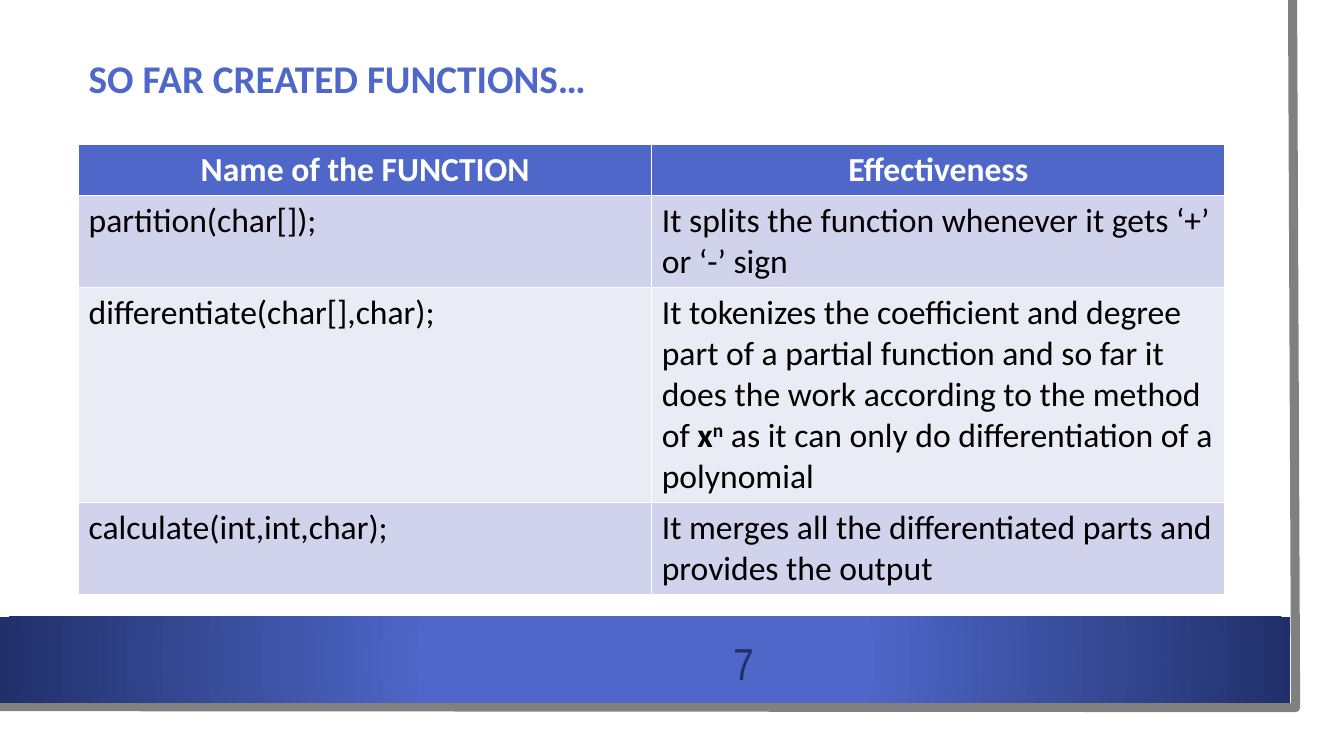
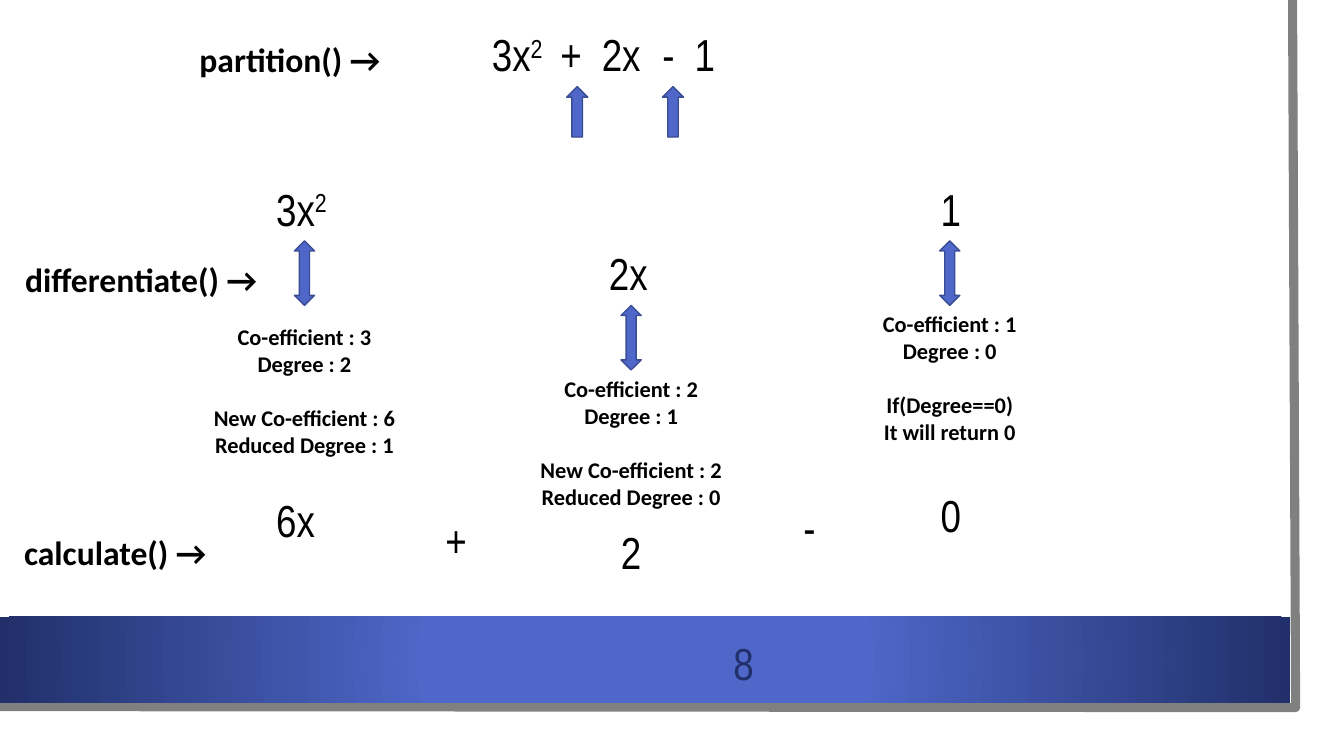
"""Build two slides on the functions of a polynomial differentiation program."""
from lxml import etree
from pptx import Presentation
from pptx import util as u
from pptx.dml.color import RGBColor
from pptx.enum import shapes, text
from pptx.oxml.ns import qn

COLORS = {"blue": "4E67C8", "navy": "21306A", "edge": "3A4C94", "gray": "808080",
          "white": "FFFFFF", "black": "000000", "band": "D0D3EB", "pale": "E9EBF5"}
LABEL, MATH = "Calibri", "Arial Narrow"
CENTER = text.PP_ALIGN.CENTER
SHAPE = shapes.MSO_SHAPE

ROWS = [
    ("partition(char[]);",
     [("It splits the function whenever it gets ‘+’ or ‘-’ sign", "")]),
    ("differentiate(char[],char);",
     [("It tokenizes the coefficient and degree part of a partial function and so far "
       "it does the work according to the method of ", ""), ("x", "b"), ("n", "b^"),
      (" as it can only do differentiation of a polynomial", "")]),
    ("calculate(int,int,char);",
     [("It merges all the differentiated parts and provides the output", "")]),
]
ROW_HEIGHTS = [0.5, 0.9, 2.1, 0.9]

TERMS = [
    dict(left=1.4, top=1.75, term=[("3x", ""), ("2", "^")], term_x=1.24,
         facts=["Co-efficient : 3", "Degree : 2", "New Co-efficient : 6", "Reduced Degree : 1"],
         facts_y=1.41, result="6x", result_x=1.24, result_y=3.09),
    dict(left=4.64, top=2.39, term=[("2x", "")], term_x=1.3,
         facts=["Co-efficient : 2", "Degree : 1", "New Co-efficient : 2", "Reduced Degree : 0"],
         facts_y=1.28, result="2", result_x=1.42, result_y=2.77),
    dict(left=7.8, top=1.75, term=[("1", "")], term_x=1.43,
         facts=["Co-efficient : 1", "Degree : 0", "If(Degree==0)", "It will return 0"],
         facts_y=1.28, result="0", result_x=1.43, result_y=3.04),
]
TERM_WIDTH = 3.24


def rgb(name):
    """Return the named colour."""
    return RGBColor.from_string(COLORS[name])


def box(*lengths):
    """Turn lengths in inches into slide units."""
    return [u.Inches(v) for v in lengths]


def style(r, size, font, color="black", bold=False):
    """Format one run."""
    r.font.size = u.Pt(size)
    r.font.name = font
    r.font.bold = bold
    r.font.color.rgb = rgb(color)


def fill_runs(p, runs, size, font, color="black"):
    """Add runs of (text, marks), where b is bold and ^ is superscript."""
    for words, marks in runs:
        r = p.add_run()
        r.text = words
        style(r, size, font, color, "b" in marks)
        if "^" in marks:
            r._r.get_or_add_rPr().set("baseline", "30000")


def add_text(s, at, runs, size, font, color="black", align=None):
    """Add a one-paragraph text box and return it."""
    sp = s.shapes.add_textbox(*box(*at))
    sp.text_frame.word_wrap = True
    p = sp.text_frame.paragraphs[0]
    p.alignment = align
    fill_runs(p, runs, size, font, color)
    return sp


def add_math(s, left, top, runs, width=0.91):
    """Add a large term of the polynomial."""
    return add_text(s, (left, top, width, 0.64), runs, 32, MATH)


def add_solid(s, kind, at, fill, line=None):
    """Add a preset shape without shadow."""
    sp = s.shapes.add_shape(kind, *box(*at))
    sp.shadow.inherit = False
    sp.fill.solid()
    sp.fill.fore_color.rgb = rgb(fill)
    if line:
        sp.line.color.rgb = rgb(line)
        sp.line.width = u.Pt(1)
    else:
        sp.line.fill.background()
    return sp


def add_arrow(s, kind, left, top, width, height):
    """Add a blue block arrow."""
    return add_solid(s, kind, (left, top, width, height), "blue", "edge")


def radial_fill(sp, stops):
    """Give a shape a gradient that spreads from its centre."""
    sp.fill.gradient()
    for stop, (position, name) in zip(sp.fill.gradient_stops, stops):
        stop.position = position
        stop.color.rgb = rgb(name)
    grad = sp._element.spPr.find(qn("a:gradFill"))
    grad.remove(grad.find(qn("a:lin")))
    path = etree.SubElement(grad, qn("a:path"), path="circle")
    etree.SubElement(path, qn("a:fillToRect"), l="50000", t="50000", r="50000", b="50000")


def dress_master(prs, s):
    """Draw the paper, its gray edge and the footer band, then move them to the master."""
    paper = add_solid(s, SHAPE.RECTANGLE, (0, 0, 13.1, 7.27), "white")
    builder = s.shapes.build_freeform(*box(12.82, 0))
    builder.add_line_segments([box(12.85, 7.02), box(-0.03, 7.01)], close=False)
    edge = builder.convert_to_shape()
    edge.shadow.inherit = False
    edge.fill.background()
    edge.line.color.rgb = rgb("gray")
    edge.line.width = u.Pt(6.5)
    band = add_solid(s, SHAPE.RECTANGLE, (0, 6.12, 12.8, 0.85), "blue")
    radial_fill(band, [(0.34, "blue"), (1, "navy")])
    tree = prs.slide_master.shapes.element
    for i, sp in enumerate((paper, edge, band)):
        tree.insert(2 + i, sp._element)


def add_number(s, number):
    """Add the page number on the footer band."""
    sp = add_text(s, (6.88, 6.3, 0.99, 0.55), [(str(number), "")], 32, MATH, "navy", CENTER)
    sp.text_frame.vertical_anchor = text.MSO_ANCHOR.MIDDLE


def set_title(s, words, left, top, width, height):
    """Place and format the title placeholder."""
    sp = s.shapes.title
    sp.left, sp.top, sp.width, sp.height = box(left, top, width, height)
    tf = sp.text_frame
    tf.text = words
    tf.vertical_anchor = text.MSO_ANCHOR.MIDDLE
    p = tf.paragraphs[0]
    p.alignment = text.PP_ALIGN.LEFT
    p.line_spacing = 0.9
    style(p.runs[0], 28, LABEL, "blue", True)


def function_table(s, left, top, width):
    """Add the table of functions and what they do."""
    at = box(left, top, width, sum(ROW_HEIGHTS))
    table = s.shapes.add_table(len(ROW_HEIGHTS), 2, *at).table
    for row, height in zip(table.rows, ROW_HEIGHTS):
        row.height = u.Inches(height)
    heads = [[("Name of the FUNCTION", "b")], [("Effectiveness", "b")]]
    body = [[[(name, "")], effect] for name, effect in ROWS]
    for i, cells in enumerate([heads] + body):
        fill = "blue" if i == 0 else ("band" if i % 2 else "pale")
        for j, runs in enumerate(cells):
            cell = table.cell(i, j)
            cell.fill.solid()
            cell.fill.fore_color.rgb = rgb(fill)
            p = cell.text_frame.paragraphs[0]
            p.alignment = CENTER if i == 0 else None
            fill_runs(p, runs, 24, LABEL, "black" if i else "white")


def partition_row(s, left, top):
    """Add the whole polynomial with arrows under the signs that split it."""
    sp = add_math(s, left, top, [("3x", ""), ("2", "^"), ("\t+\t2x\t-\t1", "")], 6.18)
    pPr = sp.text_frame.paragraphs[0]._p.get_or_add_pPr()
    tabs = etree.SubElement(pPr, qn("a:tabLst"))
    for stop in (0.68, 1.09, 1.69, 2.01):
        etree.SubElement(tabs, qn("a:tab"), pos=str(u.Inches(stop)), algn="l")
    for x in (0.84, 1.79):
        add_arrow(s, SHAPE.UP_ARROW, left + x, top + 0.64, 0.21, 0.5)


def term_column(s, left, top, term, term_x, facts, facts_y, result, result_x, result_y):
    """Add one term, its differentiation and its result."""
    add_math(s, left + term_x, top, term)
    add_arrow(s, SHAPE.UP_DOWN_ARROW, left + TERM_WIDTH / 2 - 0.1, top + 0.64, 0.2, 0.64)
    sp = s.shapes.add_textbox(*box(left, top + facts_y, TERM_WIDTH, 1.45))
    tf = sp.text_frame
    tf.word_wrap = True
    tf.text = "\n".join(facts)
    for p in tf.paragraphs:
        p.alignment = CENTER
        style(p.runs[0], 16, LABEL, bold=True)
    tf.paragraphs[2].space_before = u.Pt(19.5)
    add_math(s, left + result_x, top + result_y, [(result, "")])


def functions_slide(s):
    """Fill the slide that lists the functions."""
    set_title(s, "SO FAR CREATED FUNCTIONS…", 0.78, 0.17, 11.37, 1.26)
    function_table(s, 0.78, 1.43, 11.37)
    add_number(s, 7)


def example_slide(s):
    """Fill the slide that works through an example."""
    for name, left, top in (("partition", 1.88, 0.34), ("differentiate", 0.15, 2.52),
                            ("calculate", 0.14, 5.23)):
        add_text(s, (left, top, 2.62, 0.5), [(name + "() →", "b")], 24, LABEL)
    partition_row(s, 4.78, 0.22)
    for column in TERMS:
        term_column(s, **column)
    for sign, left, top in (("+", 4.32, 5.04), ("-", 7.87, 4.91)):
        add_math(s, left, top, [(sign, "")])
    add_number(s, 8)


def main():
    """Build and save the presentation."""
    prs = Presentation()
    prs.slide_width, prs.slide_height = box(13.33, 7.5)
    s = prs.slides.add_slide(prs.slide_layouts[5])
    dress_master(prs, s)
    functions_slide(s)
    example_slide(prs.slides.add_slide(prs.slide_layouts[6]))
    prs.save("out.pptx")


if __name__ == "__main__":
    main()
